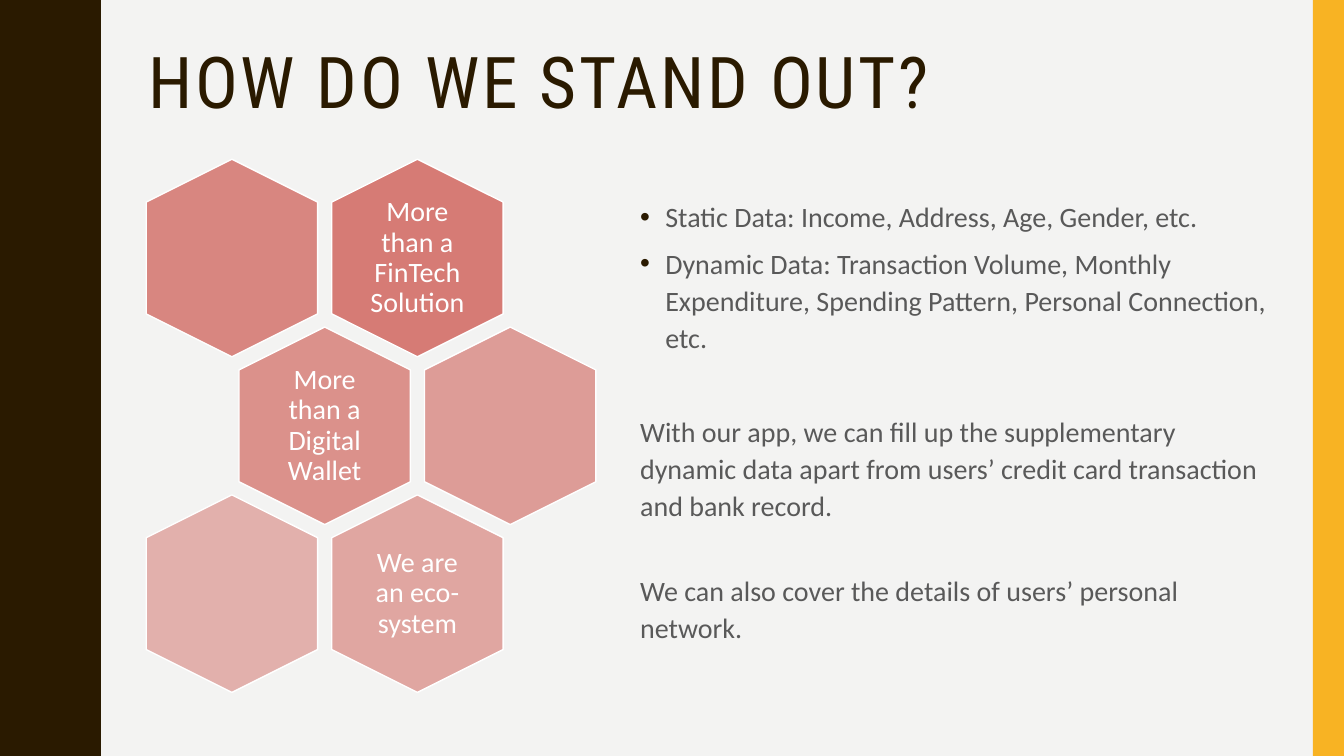
from lxml import etree
from pptx import Presentation
from pptx.dml.color import RGBColor
from pptx.enum.shapes import MSO_SHAPE
from pptx.enum.text import MSO_ANCHOR, PP_ALIGN
from pptx.oxml.ns import qn
from pptx.util import Inches, Pt

HEXAGON, RECTANGLE = MSO_SHAPE.HEXAGON, MSO_SHAPE.RECTANGLE
TOP, MIDDLE = MSO_ANCHOR.TOP, MSO_ANCHOR.MIDDLE
LEFT, CENTER = PP_ALIGN.LEFT, PP_ALIGN.CENTER

PAPER = RGBColor(0xF3, 0xF3, 0xF2)
BROWN = RGBColor(0x2A, 0x1A, 0x00)
AMBER = RGBColor(0xF8, 0xB3, 0x23)
ROSE = RGBColor(0xD3, 0x6F, 0x68)
GREY = RGBColor(0x59, 0x59, 0x59)
WHITE = RGBColor(0xFF, 0xFF, 0xFF)

TITLE = "HOW DO WE STAND OUT?"
# text, bulleted, space before in points
POINTS = [
    ("Static Data: Income, Address, Age, Gender, etc.", True, 0),
    ("Dynamic Data: Transaction Volume, Monthly Expenditure, Spending Pattern, "
     "Personal Connection, etc.", True, 7),
    ("With our app, we can fill up the supplementary dynamic data apart from users’ "
     "credit card transaction and bank record.", False, 41),
    ("We can also cover the details of users’ personal network.", False, 34),
]
# column, row, opacity in percent, label
HONEYCOMB = [
    (1, 0, 90, "More than a FinTech Solution"),
    (0, 0, 82, ""),
    (0.5, 1, 74, "More than a Digital Wallet"),
    (1.5, 1, 66, ""),
    (1, 2, 58, "We are an eco-system"),
    (0, 2, 50, ""),
]

SLIDE_W, SLIDE_H = 13.33, 7.5
STRIPE_W = 0.31
HEX_W, HEX_H = 1.96, 1.7
HEX_LEFT, HEX_TOP = 1.32, 1.71
COLUMN_STEP, ROW_STEP = 1.84, 1.665
LABEL_W, LABEL_H = 1.17, 1.35
WAVE_PERIOD, WAVE_COUNT = 1.5, 5
HALF_WAVE = [
    (0.78, 0), (0.78, 0.07), (0.79, 0.14), (0.8, 0.2), (0.81, 0.25), (0.83, 0.29),
    (0.85, 0.33), (0.87, 0.38), (0.89, 0.42), (0.91, 0.46), (0.93, 0.5),
    (0.95, 0.55), (0.96, 0.61), (0.97, 0.68), (0.97, 0.75),
]


def paint(shape, color):
    shape.shadow.inherit = False
    shape.fill.solid()
    shape.fill.fore_color.rgb = color
    shape.line.fill.background()


def add_text_frame(slide, left, top, width, height, anchor, inset=None):
    box = slide.shapes.add_textbox(Inches(left), Inches(top), Inches(width), Inches(height))
    frame = box.text_frame
    frame.word_wrap = True
    frame.vertical_anchor = anchor
    if inset is not None:
        frame.margin_left = frame.margin_right = Inches(inset)
        frame.margin_top = frame.margin_bottom = Inches(inset)
    return frame


def write(paragraph, text, font, size, color, spacing, align=LEFT):
    paragraph.text = text
    paragraph.alignment = align
    paragraph.line_spacing = spacing
    paragraph.font.name = font
    paragraph.font.size = Pt(size)
    paragraph.font.color.rgb = color


def add_bullet(paragraph):
    properties = paragraph._p.get_or_add_pPr()
    properties.set("marL", str(Inches(0.25)))
    properties.set("indent", str(-Inches(0.25)))
    bullet_color = etree.SubElement(properties, qn("a:buClr"))
    etree.SubElement(bullet_color, qn("a:srgbClr")).set("val", str(BROWN))
    etree.SubElement(properties, qn("a:buFont")).set("typeface", "Arial")
    etree.SubElement(properties, qn("a:buChar")).set("char", "•")


def add_frame(slide):
    half_back = [(x, WAVE_PERIOD - y) for x, y in HALF_WAVE[-2:0:-1]]
    edge = [(x, y + wave * WAVE_PERIOD)
            for wave in range(WAVE_COUNT) for x, y in HALF_WAVE + half_back]
    outline = edge + [(HALF_WAVE[0][0], SLIDE_H), (0, SLIDE_H)]
    builder = slide.shapes.build_freeform(0, 0, scale=Inches(1))
    builder.add_line_segments(outline, close=True)
    paint(builder.convert_to_shape(), BROWN)
    stripe = slide.shapes.add_shape(
        RECTANGLE, Inches(SLIDE_W - STRIPE_W), 0, Inches(STRIPE_W), Inches(SLIDE_H))
    paint(stripe, AMBER)


def add_cell(slide, column, row, opacity, label):
    left = HEX_LEFT + column * COLUMN_STEP
    top = HEX_TOP + row * ROW_STEP
    cell = slide.shapes.add_shape(
        HEXAGON, Inches(left), Inches(top), Inches(HEX_W), Inches(HEX_H))
    cell.rotation = 90
    cell.adjustments[0] = 0.25
    paint(cell, ROSE)
    fill_color = cell._element.spPr.find(qn("a:solidFill")).find(qn("a:srgbClr"))
    etree.SubElement(fill_color, qn("a:alpha")).set("val", str(opacity * 1000))
    cell.line.color.rgb = WHITE
    cell.line.width = Pt(1)
    if label:
        frame = add_text_frame(
            slide, left + (HEX_W - LABEL_W) / 2, top + (HEX_H - LABEL_H) / 2,
            LABEL_W, LABEL_H, MIDDLE, 0.08)
        write(frame.paragraphs[0], label, "Calibri", 20, WHITE, 0.9, CENTER)


def main():
    deck = Presentation()
    deck.slide_width, deck.slide_height = Inches(SLIDE_W), Inches(SLIDE_H)
    slide = deck.slides.add_slide(deck.slide_layouts[6])
    slide.background.fill.solid()
    slide.background.fill.fore_color.rgb = PAPER
    add_frame(slide)

    heading = add_text_frame(slide, 1.37, 0.42, 11.13, 1.63, TOP).paragraphs[0]
    write(heading, TITLE, "Roboto Condensed", 51, BROWN, 0.9)
    heading.runs[0].font._element.set("spc", "200")

    body = add_text_frame(slide, 6.25, 1.9, 6.52, 4.64, TOP)
    for index, (text, bulleted, gap) in enumerate(POINTS):
        paragraph = body.add_paragraph() if index else body.paragraphs[0]
        if bulleted:
            add_bullet(paragraph)
        write(paragraph, text, "Calibri", 20, GREY, 1.1)
        paragraph.space_before = Pt(gap)

    for cell in HONEYCOMB:
        add_cell(slide, *cell)
    deck.save("out.pptx")


if __name__ == "__main__":
    main()
